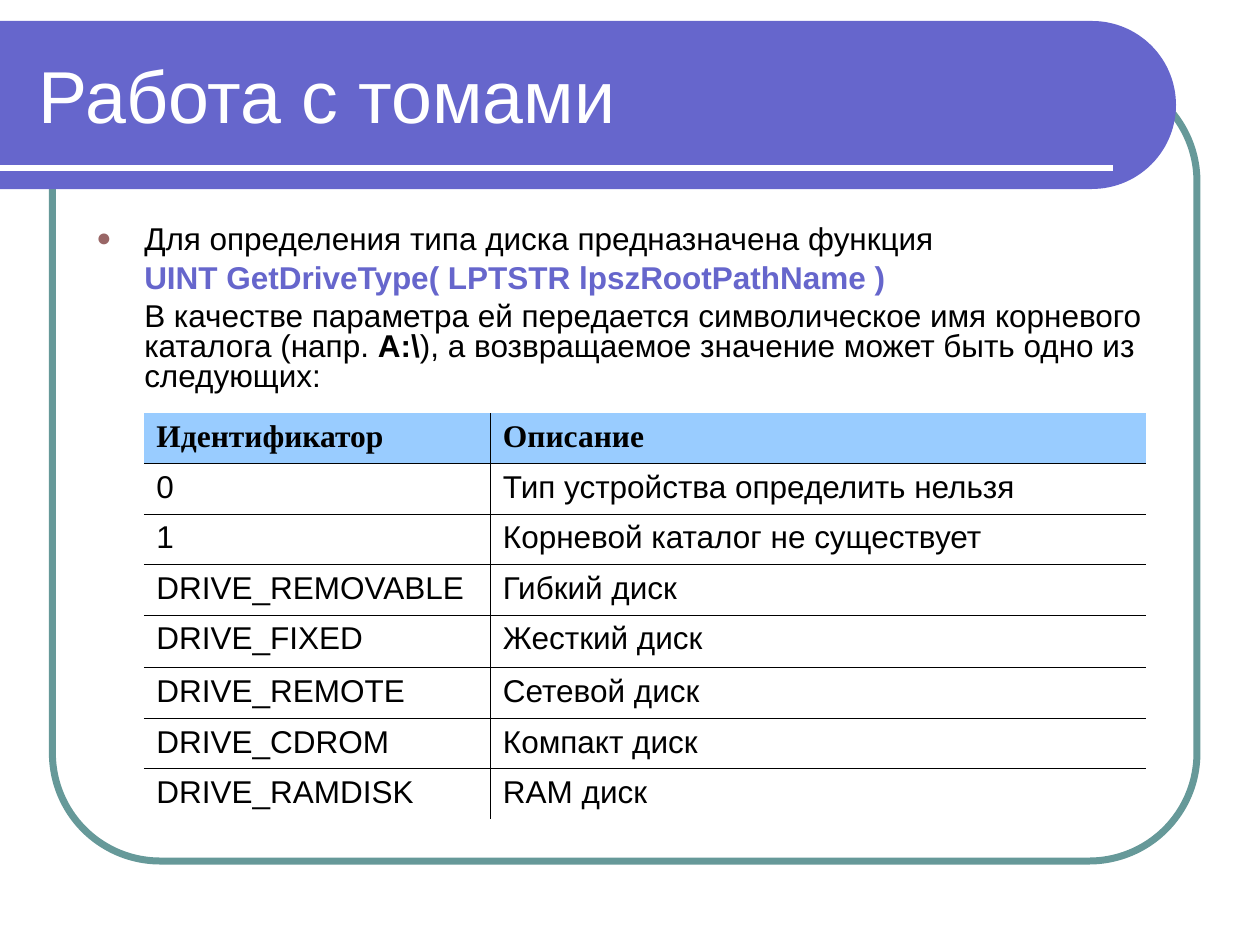
import math

import lxml.etree
import pptx
import pptx.dml.color
import pptx.enum.shapes
import pptx.enum.text
import pptx.oxml
import pptx.oxml.ns
import pptx.util

COLUMNS, ROWS = 60, 45
VIOLET, TEAL, ROSE, SKY = "6666CC", "669999", "996666", "99CCFF"
WHITE, BLACK = "FFFFFF", "000000"


def color(value):
    return pptx.dml.color.RGBColor.from_string(value)


def add_element(parent, tag, **attributes):
    return lxml.etree.SubElement(parent, pptx.oxml.ns.qn(tag), attributes)


class SlideBuilder:
    """Holds the style and the slide; lengths are grid columns and rows."""

    font_name = "Arial"
    body_size = 18

    def __init__(self, presentation):
        self.column = presentation.slide_width / COLUMNS
        self.row = presentation.slide_height / ROWS
        self.slide = presentation.slides.add_slide(presentation.slide_layouts[6])
        self.shapes = self.slide.shapes

    def place(self, left, top, width, height):
        return (round(left * self.column), round(top * self.row),
                round(width * self.column), round(height * self.row))

    def format_font(self, font, size, value, bold=False, name=None):
        font.name = name or self.font_name
        font.size = pptx.util.Pt(size)
        font.bold = bold
        font.color.rgb = color(value)

    def frame(self, box, radius, value, width):
        shape = self.shapes.add_shape(
            pptx.enum.shapes.MSO_SHAPE.ROUNDED_RECTANGLE, *self.place(*box))
        shape.adjustments[0] = radius
        shape.shadow.inherit = False
        shape.fill.background()
        shape.line.color.rgb = color(value)
        shape.line.width = pptx.util.Pt(width)

    def band(self, top, right, height, value, steps=60):
        """A bar from the left slide edge that ends in a half circle."""
        radius = height / 2
        angles = [math.pi * (step / steps - 0.5) for step in range(steps + 1)]
        points = [((right - radius + radius * math.cos(angle)) * self.column,
                   (top + radius + radius * math.sin(angle)) * self.row)
                  for angle in angles]
        points.append((0, (top + height) * self.row))
        builder = self.shapes.build_freeform(0, round(top * self.row))
        builder.add_line_segments([(round(x), round(y)) for x, y in points])
        shape = builder.convert_to_shape()
        shape.shadow.inherit = False
        shape.fill.solid()
        shape.fill.fore_color.rgb = color(value)
        shape.line.fill.background()

    def rule(self, left, right, top, value, width):
        start_x, y, length, _ = self.place(left, top, right - left, 0)
        line = self.shapes.add_connector(
            pptx.enum.shapes.MSO_CONNECTOR.STRAIGHT, start_x, y, start_x + length, y)
        line.line.color.rgb = color(value)
        line.line.width = pptx.util.Pt(width)
        add_element(line._element.spPr, "a:effectLst")

    def text_box(self, box):
        text_frame = self.shapes.add_textbox(*self.place(*box)).text_frame
        text_frame.word_wrap = True
        return text_frame

    def title(self, box, text, size, value):
        text_frame = self.text_box(box)
        text_frame.vertical_anchor = pptx.enum.text.MSO_ANCHOR.MIDDLE
        text_frame.text = text
        self.format_font(text_frame.paragraphs[0].runs[0].font, size, value)

    def body(self, box, paragraphs):
        """Only the first paragraph has a bullet; the rest align with its text."""
        text_frame = self.text_box(box)
        indent = pptx.util.Inches(0.38)
        for index, runs in enumerate(paragraphs):
            paragraph = text_frame.add_paragraph() if index else text_frame.paragraphs[0]
            properties = paragraph._p.get_or_add_pPr()
            properties.set("marL", str(indent))
            properties.set("indent", str(0 if index else -indent))
            if index == 0:
                bullet_color = add_element(properties, "a:buClr")
                add_element(bullet_color, "a:srgbClr", val=ROSE)
                add_element(properties, "a:buSzPct", val="80000")
                add_element(properties, "a:buFont", typeface=self.font_name)
                add_element(properties, "a:buChar", char="●")
            paragraph.line_spacing = 0.8
            paragraph.space_before = pptx.util.Pt(4.5 if index else 0)
            for text, value, bold in runs:
                run = paragraph.add_run()
                run.text = text
                self.format_font(run.font, self.body_size, value, bold)

    def borders(self, cell, visible_sides):
        properties = cell._tc.get_or_add_tcPr()
        for side in "LRTB":
            line = add_element(properties, f"a:ln{side}", w=str(pptx.util.Pt(0.45)))
            if side in visible_sides:
                fill = add_element(line, "a:solidFill")
                add_element(fill, "a:srgbClr", val=BLACK)
            else:
                add_element(line, "a:noFill")

    def table(self, box, records, column_widths, row_heights):
        last_row, last_column = len(records) - 1, len(column_widths) - 1
        table = self.shapes.add_table(
            len(records), len(column_widths), *self.place(*box)).table
        table.first_row = table.horz_banding = False
        for column, width in zip(table.columns, column_widths):
            column.width = pptx.util.Inches(width)
        for row, height in zip(table.rows, row_heights):
            row.height = pptx.util.Inches(height)
        for i, record in enumerate(records):
            for j, text in enumerate(record):
                cell = table.cell(i, j)
                # Lines run between cells only, never on the outer edge
                inner = (("L", j > 0), ("R", j < last_column),
                         ("T", i > 0), ("B", i < last_row))
                self.borders(cell, [side for side, shown in inner if shown])
                header = i == 0
                if header:
                    cell.fill.solid()
                    cell.fill.fore_color.rgb = color(SKY)
                else:
                    cell.fill.background()
                cell.text_frame.text = text
                paragraph = cell.text_frame.paragraphs[0]
                paragraph.alignment = pptx.enum.text.PP_ALIGN.JUSTIFY
                self.format_font(paragraph.runs[0].font, self.body_size, BLACK, header,
                                 "Times New Roman" if header else None)


def main():
    presentation = pptx.Presentation()
    presentation.slide_width = pptx.util.Inches(10)
    presentation.slide_height = pptx.util.Inches(7.5)
    builder = SlideBuilder(presentation)

    # Frame and title band
    builder.frame((2.5, 3.5, 54.5, 37.5), 0.137, TEAL, 4)
    builder.band(1, 56, 8, VIOLET)
    builder.rule(0, 53, 8, WHITE, 3)
    builder.title((1.25, 1.5, 52.6, 6), "Работа с томами", 42, WHITE)

    # Description of the function
    builder.body((4, 10.5, 52, 12), [
        [("Для определения типа диска предназначена функция", BLACK, False)],
        [("UINT GetDriveType( LPTSTR lpszRootPathName )", VIOLET, True)],
        [("В качестве параметра ей передается символическое имя корневого "
          "каталога (напр. ", BLACK, False),
         ("A:\\", BLACK, True),
         ("), а возвращаемое значение может быть одно из следующих:", BLACK, False)],
    ])

    # Return values
    records = [
        ("Идентификатор", "Описание"),
        ("0", "Тип устройства определить нельзя"),
        ("1", "Корневой каталог не существует"),
        ("DRIVE_REMOVABLE", "Гибкий диск"),
        ("DRIVE_FIXED", "Жесткий диск"),
        ("DRIVE_REMOTE", "Сетевой диск"),
        ("DRIVE_CDROM", "Компакт диск"),
        ("DRIVE_RAMDISK", "RAM диск"),
    ]
    row_heights = [0.42 if name == "DRIVE_FIXED" else 0.4 for name, _ in records]
    builder.table((6.85, 19.67, 47.7, 19.4), records, (2.75, 5.2), row_heights)

    presentation.save("out.pptx")


if __name__ == "__main__":
    main()
